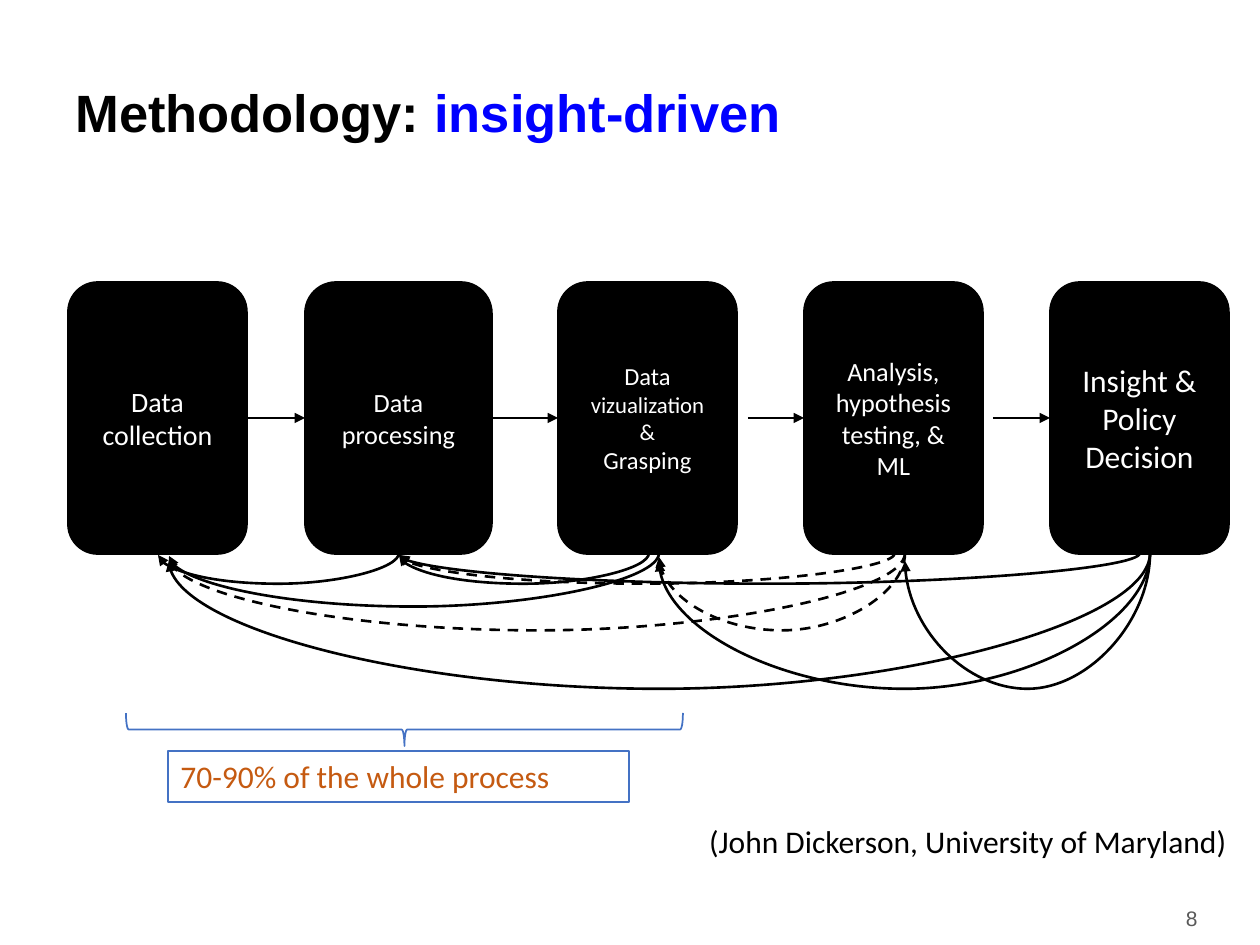
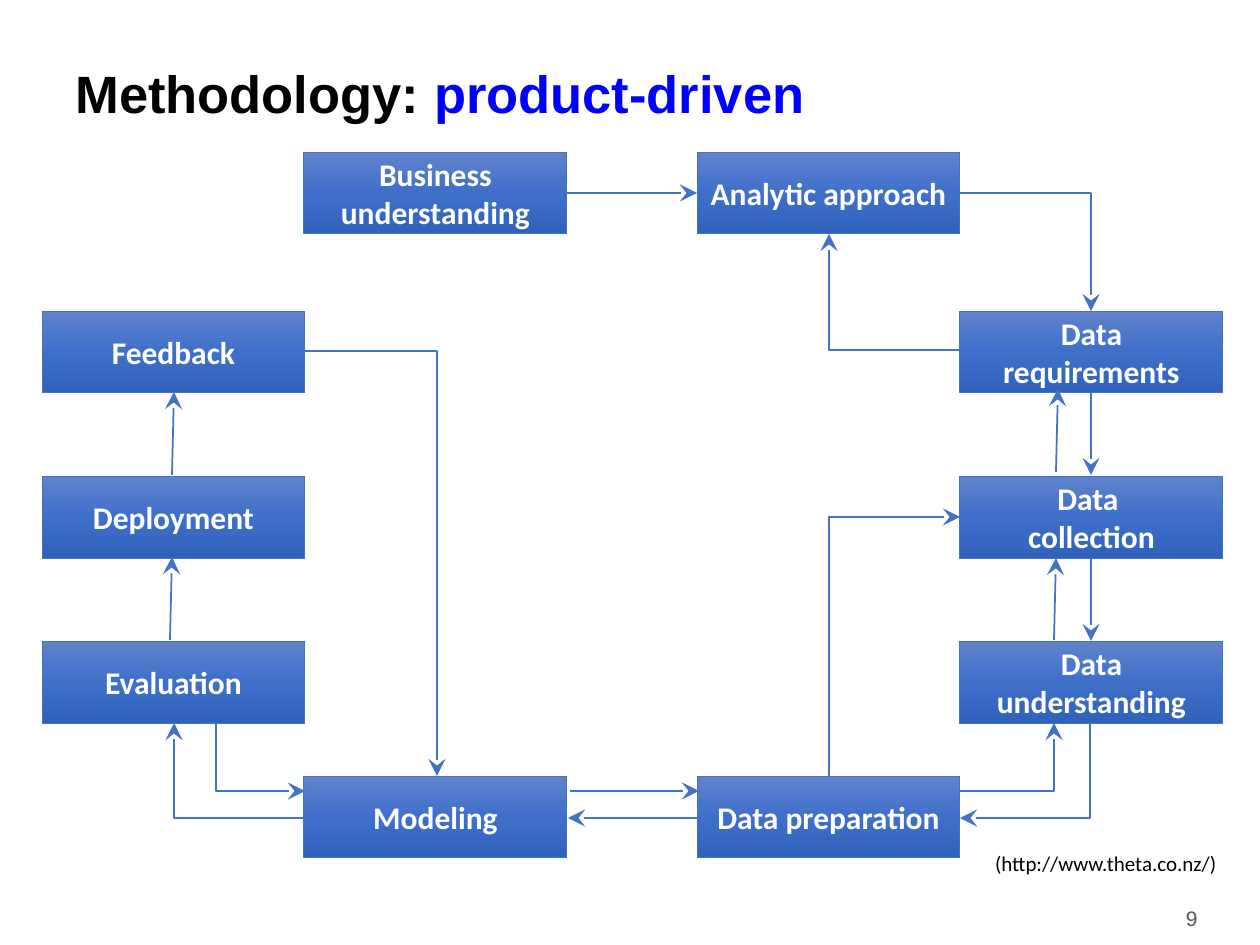
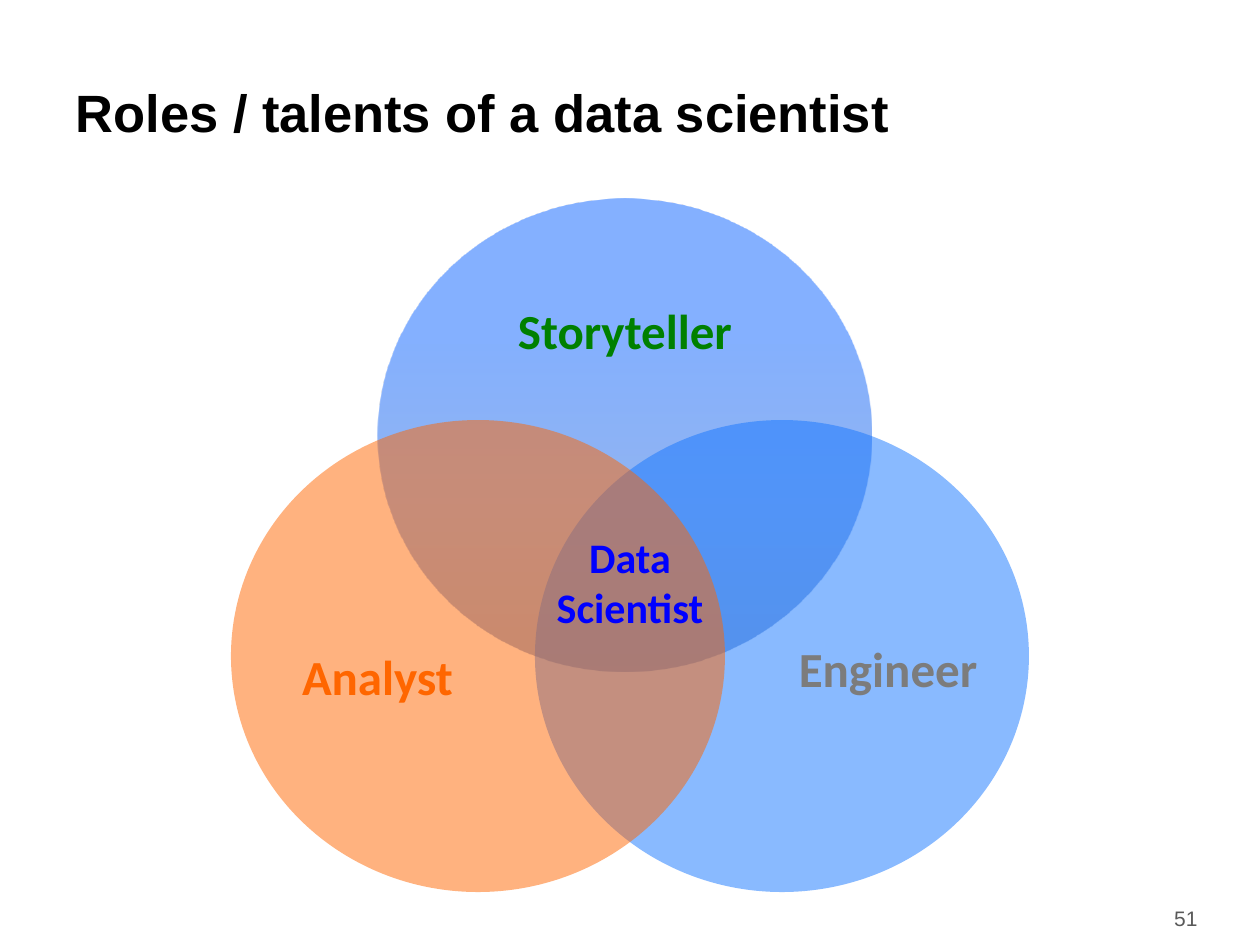
from dataclasses import dataclass
from typing import Optional

from lxml.etree import SubElement
from pptx import Presentation
from pptx.dml.color import RGBColor
from pptx.enum.dml import MSO_LINE
from pptx.enum.shapes import MSO_CONNECTOR, MSO_SHAPE
from pptx.enum.text import MSO_ANCHOR, MSO_AUTO_SIZE, PP_ALIGN
from pptx.oxml.ns import qn
from pptx.util import Emu, Pt

# Shared look
EMU_PER_PX = 914400 / 126
COLORS = {
    "black": "000000", "white": "FFFFFF", "highlight": "0000FF",
    "accent": "4472C4", "share": "C55A11", "page": "595959",
    "step_top": "6183CB", "step_middle": "3E70CA", "step_bottom": "3062BB",
    "story_dark": "2F5FB3", "story_mid": "2469E4", "story_light": "0961FF",
    "storyteller": "008000", "engineer": "7C7C7C", "engineer_fill": "1476FF",
    "analyst": "FF6600",
}
TITLE_FONT = {"name": "Arial", "size": Pt(30), "bold": True}
PAGE_FONT = {"name": "Arial", "size": Pt(12), "bold": False}
CENTERED = {"alignment": PP_ALIGN.CENTER}
RIGHT = {"alignment": PP_ALIGN.RIGHT}
LEFT = {"alignment": PP_ALIGN.LEFT}


@dataclass(frozen=True)
class Area:
    left: int
    top: int
    width: int
    height: int


@dataclass(frozen=True)
class Words:
    text: str
    font: dict
    color: str = "white"


@dataclass(frozen=True)
class Paint:
    stops: tuple  # (percent, colour name)
    angle: int = 90
    alpha: int = 100


@dataclass(frozen=True)
class Outline:
    color: str
    width: float


@dataclass(frozen=True)
class Link:
    start: tuple
    end: tuple
    kind: MSO_CONNECTOR = MSO_CONNECTOR.STRAIGHT
    turn: int = 0
    adjust: Optional[int] = None
    arrow_at: str = "tailEnd"
    dashed: bool = False


@dataclass(frozen=True)
class LinkStyle:
    outline: Outline
    arrow: str
    arrow_size: str


STEP_PAINT = Paint(((0, "step_top"), (50, "step_middle"), (100, "step_bottom")))
BLACK_PAINT = Paint(((0, "black"),))


def px(length: float) -> Emu:
    return Emu(round(length * EMU_PER_PX))


def rgb(name: str) -> RGBColor:
    return RGBColor.from_string(COLORS[name])


def body(size: int, bold: bool = False) -> dict:
    return {"name": "Calibri", "size": Pt(size), "bold": bold}


def apply_format(target, values: dict) -> None:
    for attribute, value in values.items():
        setattr(target, attribute, value)


def place(shape, area: Area) -> None:
    apply_format(shape, {side: px(getattr(area, side))
                         for side in ("left", "top", "width", "height")})


def write(frame, paragraphs: list, paragraph_format: dict, anchor: MSO_ANCHOR) -> None:
    """Fill a text frame; each paragraph is a list of Words."""
    apply_format(frame, {"word_wrap": True, "vertical_anchor": anchor})
    for index, pieces in enumerate(paragraphs):
        paragraph = frame.add_paragraph() if index else frame.paragraphs[0]
        apply_format(paragraph, paragraph_format)
        for words in pieces:
            for line_number, line in enumerate(words.text.split("\n")):
                if line_number:
                    paragraph.add_line_break()
                run = paragraph.add_run()
                run.text = line
                apply_format(run.font, words.font)
                run.font.color.rgb = rgb(words.color)


def set_fill(shape, paint: Optional[Paint]) -> None:
    if paint is None:
        shape.fill.background()
        return
    if len(paint.stops) == 1:
        shape.fill.solid()
        shape.fill.fore_color.rgb = rgb(paint.stops[0][1])
    else:
        shape.fill.gradient()
        gradient = shape.element.spPr.find(qn("a:gradFill"))
        gradient.find(qn("a:lin")).set("ang", str(paint.angle * 60000))
        stop_list = gradient.find(qn("a:gsLst"))
        for default_stop in list(stop_list):
            stop_list.remove(default_stop)
        for percent, name in paint.stops:
            stop = SubElement(stop_list, qn("a:gs"), pos=str(percent * 1000))
            SubElement(stop, qn("a:srgbClr"), val=COLORS[name])
    if paint.alpha < 100:
        for color in shape.element.spPr.iter(qn("a:srgbClr")):
            SubElement(color, qn("a:alpha"), val=str(paint.alpha * 1000))


def set_outline(shape, outline: Optional[Outline]) -> None:
    if outline is None:
        shape.line.fill.background()
    else:
        shape.line.color.rgb = rgb(outline.color)
        shape.line.width = Pt(outline.width)


def add_panel(slide, geometry: MSO_SHAPE, area: Area, paint: Optional[Paint],
              outline: Optional[Outline], paragraphs: Optional[list] = None,
              anchor: MSO_ANCHOR = MSO_ANCHOR.MIDDLE):
    panel = slide.shapes.add_shape(geometry, 0, 0, 0, 0)
    place(panel, area)
    panel.shadow.inherit = False
    set_fill(panel, paint)
    set_outline(panel, outline)
    if paragraphs:
        write(panel.text_frame, paragraphs, CENTERED, anchor)
    return panel


def add_label(slide, area: Area, words: Words, paragraph_format: dict,
              anchor: MSO_ANCHOR = MSO_ANCHOR.TOP):
    label = slide.shapes.add_textbox(0, 0, 0, 0)
    place(label, area)
    write(label.text_frame, [[words]], paragraph_format, anchor)
    return label


def add_link(slide, link: Link, style: LinkStyle) -> None:
    """Draw a connector; a turned one is laid out in its own unturned frame."""
    (x1, y1), (x2, y2) = link.start, link.end
    dx, dy = x2 - x1, y2 - y1
    across, down = {0: (dx, dy), 90: (dy, -dx), 180: (-dx, -dy), 270: (-dy, dx)}[link.turn]
    middle_x, middle_y = (x1 + x2) / 2, (y1 + y2) / 2
    connector = slide.shapes.add_connector(
        link.kind, px(middle_x - across / 2), px(middle_y - down / 2),
        px(middle_x + across / 2), px(middle_y + down / 2))
    properties = connector.element.spPr
    if link.turn:
        properties.find(qn("a:xfrm")).set("rot", str(link.turn * 60000))
    geometry = properties.find(qn("a:prstGeom"))
    if link.adjust is not None:
        SubElement(geometry.find(qn("a:avLst")), qn("a:gd"),
                   name="adj1", fmla=f"val {link.adjust}")
    elif link.kind == MSO_CONNECTOR.ELBOW:
        geometry.set("prst", "bentConnector2")
    set_outline(connector, style.outline)
    if link.dashed:
        connector.line.dash_style = MSO_LINE.DASH
    SubElement(properties.find(qn("a:ln")), qn(f"a:{link.arrow_at}"),
               type=style.arrow, w=style.arrow_size, len=style.arrow_size)
    SubElement(properties, qn("a:effectLst"))


def start_slide(deck, title: str, page: str, highlight: str = "", title_top: int = 63):
    slide = deck.slides.add_slide(deck.slide_layouts[5])
    heading = slide.shapes.title
    place(heading, Area(63, title_top, 1166, 105))
    heading.text_frame.auto_size = MSO_AUTO_SIZE.NONE
    pieces = [Words(title, TITLE_FONT, "black")]
    if highlight:
        pieces.append(Words(highlight, TITLE_FONT, "highlight"))
    write(heading.text_frame, [pieces], {**LEFT, "line_spacing": 0.9}, MSO_ANCHOR.MIDDLE)
    add_label(slide, Area(1056, 893, 154, 50), Words(page, PAGE_FONT, "page"),
              RIGHT, MSO_ANCHOR.MIDDLE)
    return slide


def build_insight_slide(deck) -> None:
    slide = start_slide(deck, "Methodology: ", "8", "insight-driven")
    # Stages: left edge, width, paragraphs
    stages = [
        (68, 179, [[Words("Data collection", body(16))]]),
        (305, 187, [[Words("Data processing", body(15))]]),
        (558, 179, [[Words("Data ", body(14)), Words("vizualization", body(13))],
                    [Words("&", body(13))], [Words("Grasping", body(14))]]),
        (804, 179, [[Words("Analysis, hypothesis testing, & ML", body(15))]]),
        (1050, 179, [[Words("Insight & Policy Decision", body(18))]]),
    ]
    for left, width, paragraphs in stages:
        add_panel(slide, MSO_SHAPE.ROUNDED_RECTANGLE, Area(left, 282, width, 272),
                  BLACK_PAINT, Outline("black", 1), paragraphs)

    # Forward arrows and the arcs that lead back to earlier stages
    style = LinkStyle(Outline("black", 1.5), "triangle", "med")
    for start, end in [(247, 305), (492, 558), (748, 804), (993, 1050)]:
        add_link(slide, Link((start, 418), (end, 418)), style)
    returns = [  # from x, to x, depth, dashed
        (399, 158, 31, False), (649, 399, 31, False), (659, 169, 54, False),
        (905, 659, 77, True), (895, 399, 31, True), (905, 169, 77, True),
        (1150, 905, 136, False), (1150, 659, 136, False),
        (1140, 399, 31, False), (1150, 169, 136, False),
    ]
    for start, end, depth, dashed in returns:
        offset = round(depth / 18)
        add_link(slide, Link((start, 553), (end, 553 + offset), MSO_CONNECTOR.CURVE, 90,
                             round(depth / offset * 100000), dashed=dashed), style)

    # Share of effort and credit
    brace = add_panel(slide, MSO_SHAPE.LEFT_BRACE, Area(388, 451, 33, 557),
                      None, Outline("accent", 1))
    brace.rotation = 270
    share = add_label(slide, Area(168, 751, 461, 51),
                      Words("70-90% of the whole process", body(18), "share"), LEFT)
    set_outline(share, Outline("accent", 0.75))
    add_label(slide, Area(252, 816, 987, 51),
              Words("(John Dickerson, University of Maryland)", body(18), "black"), RIGHT)


def build_product_slide(deck) -> None:
    slide = start_slide(deck, "Methodology: ", "9", "product-driven", 44)
    add_label(slide, Area(911, 844, 318, 38),
              Words("(http://www.theta.co.nz/)", body(12), "black"), RIGHT)

    # Steps on a grid of columns and rows
    columns = (42, 304, 697, 960)
    rows = (152, 311, 476, 641, 776)
    steps = [
        ("Business understanding", 1, 0), ("Analytic approach", 2, 0),
        ("Data requirements", 3, 1), ("Data \ncollection", 3, 2),
        ("Data understanding", 3, 3), ("Data preparation", 2, 4), ("Modeling", 1, 4),
        ("Evaluation", 0, 3), ("Deployment", 0, 2), ("Feedback", 0, 1),
    ]
    for text, column, row in steps:
        add_panel(slide, MSO_SHAPE.RECTANGLE, Area(columns[column], rows[row], 263, 82),
                  STEP_PAINT, Outline("accent", 0.5), [[Words(text, body(18, True))]])

    # Flow between the steps
    elbow = MSO_CONNECTOR.ELBOW
    flow = [
        Link((566, 193), (697, 193)),
        Link((1091, 392), (1091, 475)),
        Link((1091, 558), (1091, 641)),
        Link((172, 475), (174, 392)),
        Link((170, 640), (172, 557)),
        Link((1054, 640), (1056, 558)),
        Link((1056, 472), (1058, 389)),
        Link((697, 818), (568, 818)),
        Link((699, 791), (570, 791), arrow_at="headEnd"),
        Link((960, 193), (1091, 311), elbow),
        Link((829, 776), (960, 517), elbow, 90),
        Link((1091, 723), (960, 818), elbow, 180, 800),
        Link((305, 351), (437, 776), elbow),
        Link((174, 723), (305, 818), elbow, 270, arrow_at="headEnd"),
        Link((305, 791), (207, 723), elbow, 180, 90500, "headEnd"),
        Link((960, 791), (1054, 723), elbow, 0, 100100),
        Link((829, 234), (960, 350), elbow, 270, arrow_at="headEnd"),
    ]
    style = LinkStyle(Outline("accent", 1), "stealth", "lg")
    for link in flow:
        add_link(slide, link, style)


def build_roles_slide(deck) -> None:
    slide = start_slide(deck, "Roles / talents of a data scientist", "51")
    # Overlapping circles
    story_paint = Paint(((0, "story_dark"), (35, "story_mid"), (70, "story_light"),
                         (100, "story_light")), 270, 50)
    circles = [
        (378, 199, story_paint, [[Words("Storyteller", body(28, True), "storyteller")]]),
        (535, 420, Paint(((0, "engineer_fill"),), alpha=50), None),
        (231, 420, Paint(((0, "analyst"),), alpha=50), None),
    ]
    for left, top, paint, paragraphs in circles:
        circle = add_panel(slide, MSO_SHAPE.OVAL, Area(left, top, 494, 472), paint,
                           None, paragraphs, MSO_ANCHOR.TOP)
        circle.text_frame.margin_top = px(32)

    # Role names
    roles = [
        ("Data Scientist", Area(525, 525, 210, 115), 24, "highlight"),
        ("Engineer", Area(758, 632, 260, 72), 28, "engineer"),
        ("Analyst", Area(220, 640, 315, 72), 28, "analyst"),
    ]
    for text, area, size, color in roles:
        add_label(slide, area, Words(text, body(size, True), color), CENTERED)


def main() -> None:
    deck = Presentation()
    deck.slide_width, deck.slide_height = px(1260), px(945)
    build_insight_slide(deck)
    build_product_slide(deck)
    build_roles_slide(deck)
    deck.save("out.pptx")


if __name__ == "__main__":
    main()
